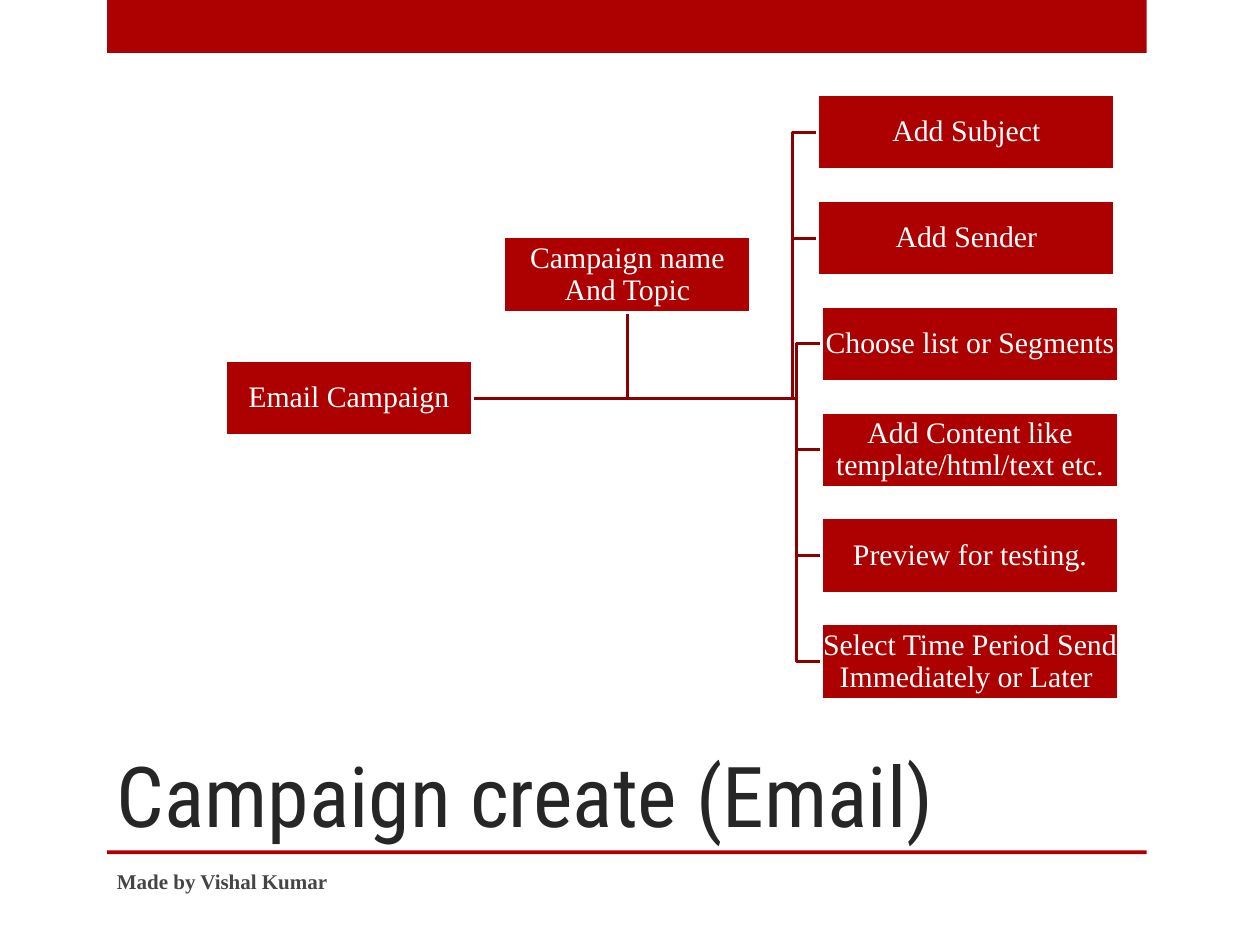
"""Build the email campaign slide: a tree of steps above a title and a credit line."""
import pptx
import pptx.util
import pptx.dml.color
import pptx.enum.shapes
import pptx.enum.text

COLORS = {"red": "AD0101", "line": "8B0101", "white": "FFFFFF",
          "title": "262626", "credit": "454545"}
SERIF = "Times New Roman"
Inches = pptx.util.Inches
Anchor = pptx.enum.text.MSO_ANCHOR
RECTANGLE = pptx.enum.shapes.MSO_SHAPE.RECTANGLE


def color(name):
    return pptx.dml.color.RGBColor.from_string(COLORS[name])


def write(shape, text, size, font, ink, anchor, bold=False):
    frame = shape.text_frame
    frame.word_wrap = True
    frame.vertical_anchor = anchor
    para = frame.paragraphs[0]
    span = para.add_run()
    span.text = text
    span.font.size = pptx.util.Pt(size)
    span.font.name = font
    span.font.bold = bold
    span.font.color.rgb = color(ink)
    return frame, para


deck = pptx.Presentation()
deck.slide_width, deck.slide_height = Inches(10), Inches(7.5)
page = deck.slides.add_slide(deck.slide_layouts[6])
shapes = page.shapes

for top, height in ((0, 0.42), (6.75, 0.03)):
    band = shapes.add_shape(RECTANGLE, Inches(0.85), Inches(top), Inches(8.25), Inches(height))
    band.shadow.inherit = False
    band.fill.solid()
    band.fill.fore_color.rgb = color("red")
    band.line.fill.background()

title = shapes.add_textbox(Inches(0.83), Inches(5), Inches(7.42), Inches(1.75))
write(title, "Campaign create (Email)", 48, "Roboto Condensed", "title", Anchor.BOTTOM)

box_height, row_pitch, first_row = 0.6, 0.84, 0.75
root_left, root_top, root_width = 1.79, 2.86, 1.96
step_width, elbow = 2.36, 0.2
topic_left, topic_top = 4, 1.88
root_right, root_middle = root_left + root_width, root_top + box_height / 2

steps = [
    (6.49, "Add Subject"),
    (6.49, "Add Sender"),
    (6.52, "Choose list or Segments"),
    (6.52, "Add Content like template/html/text etc."),
    (6.52, "Preview for testing."),
    (6.52, "Select Time Period Send Immediately or Later "),
]
boxes = [(root_left, root_top, root_width, "Email Campaign")]
topic_center = topic_left + root_width / 2
branches = [[(topic_center, root_middle), (topic_center, topic_top + box_height)]]
for row, (left, text) in enumerate(steps):
    top = first_row + row * row_pitch
    middle = top + box_height / 2
    boxes.append((left, top, step_width, text))
    branches.append([(left - elbow, root_middle), (left - elbow, middle), (left, middle)])
boxes.append((topic_left, topic_top, root_width, "Campaign name And Topic"))

for points in branches:
    builder = shapes.build_freeform(Inches(root_right), Inches(root_middle))
    builder.add_line_segments([(Inches(x), Inches(y)) for x, y in points], close=False)
    branch = builder.convert_to_shape()
    branch.shadow.inherit = False
    branch.fill.background()
    branch.line.color.rgb = color("line")
    branch.line.width = pptx.util.Pt(1.75)

for left, top, width, text in boxes:
    box = shapes.add_shape(RECTANGLE, Inches(left), Inches(top), Inches(width), Inches(box_height))
    box.shadow.inherit = False
    box.fill.solid()
    box.fill.fore_color.rgb = color("red")
    box.line.color.rgb = color("white")
    box.line.width = pptx.util.Pt(1.75)
    frame, para = write(box, text, 17, SERIF, "white", Anchor.MIDDLE)
    frame.margin_left = frame.margin_right = Inches(0.01)
    frame.margin_top = frame.margin_bottom = Inches(0.01)
    para.alignment = pptx.enum.text.PP_ALIGN.CENTER
    para.line_spacing = 0.9

credit = shapes.add_textbox(Inches(0.83), Inches(6.79), Inches(5.33), Inches(0.4))
write(credit, "Made by Vishal Kumar", 12, SERIF, "credit", Anchor.MIDDLE, bold=True)

deck.save("out.pptx")
